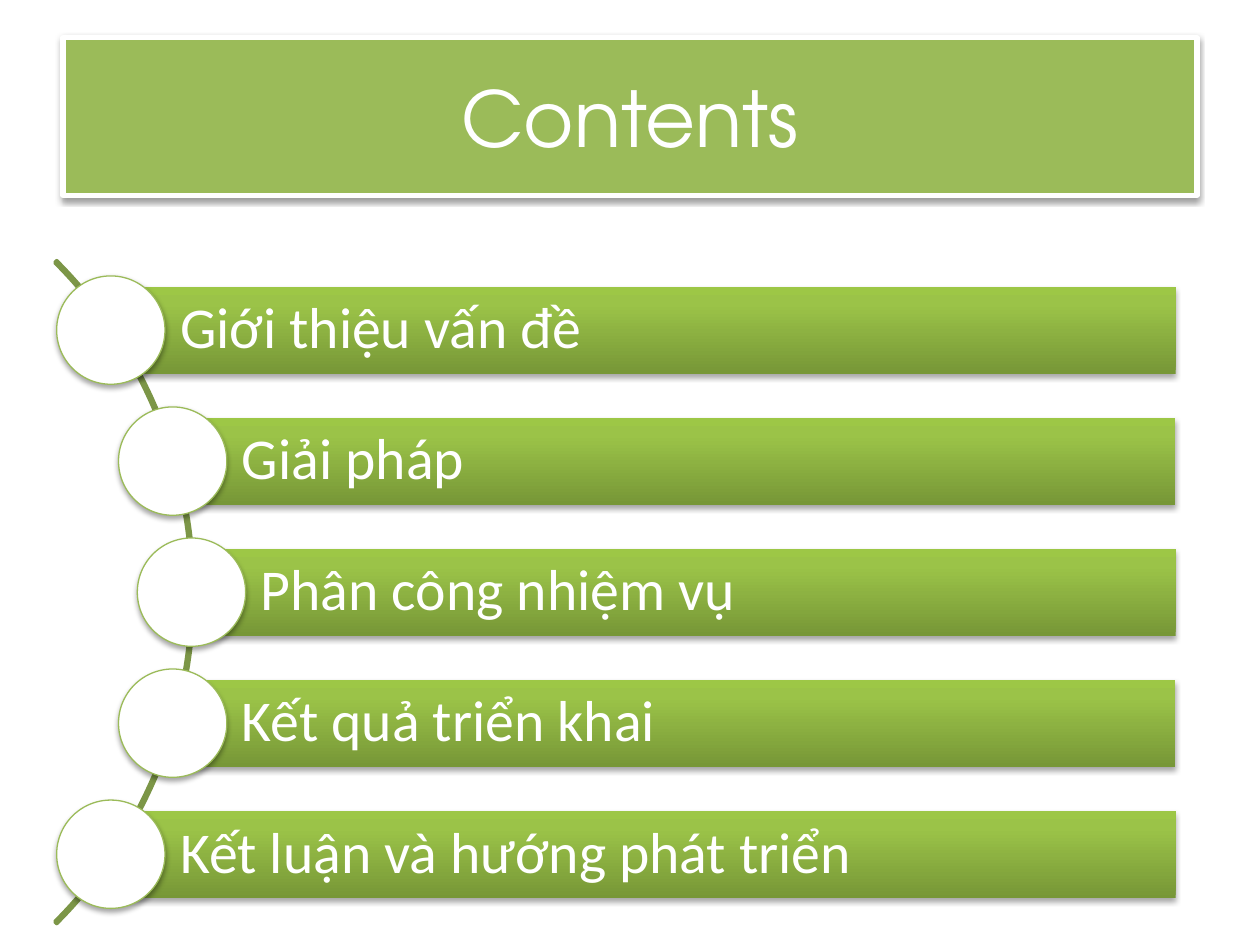
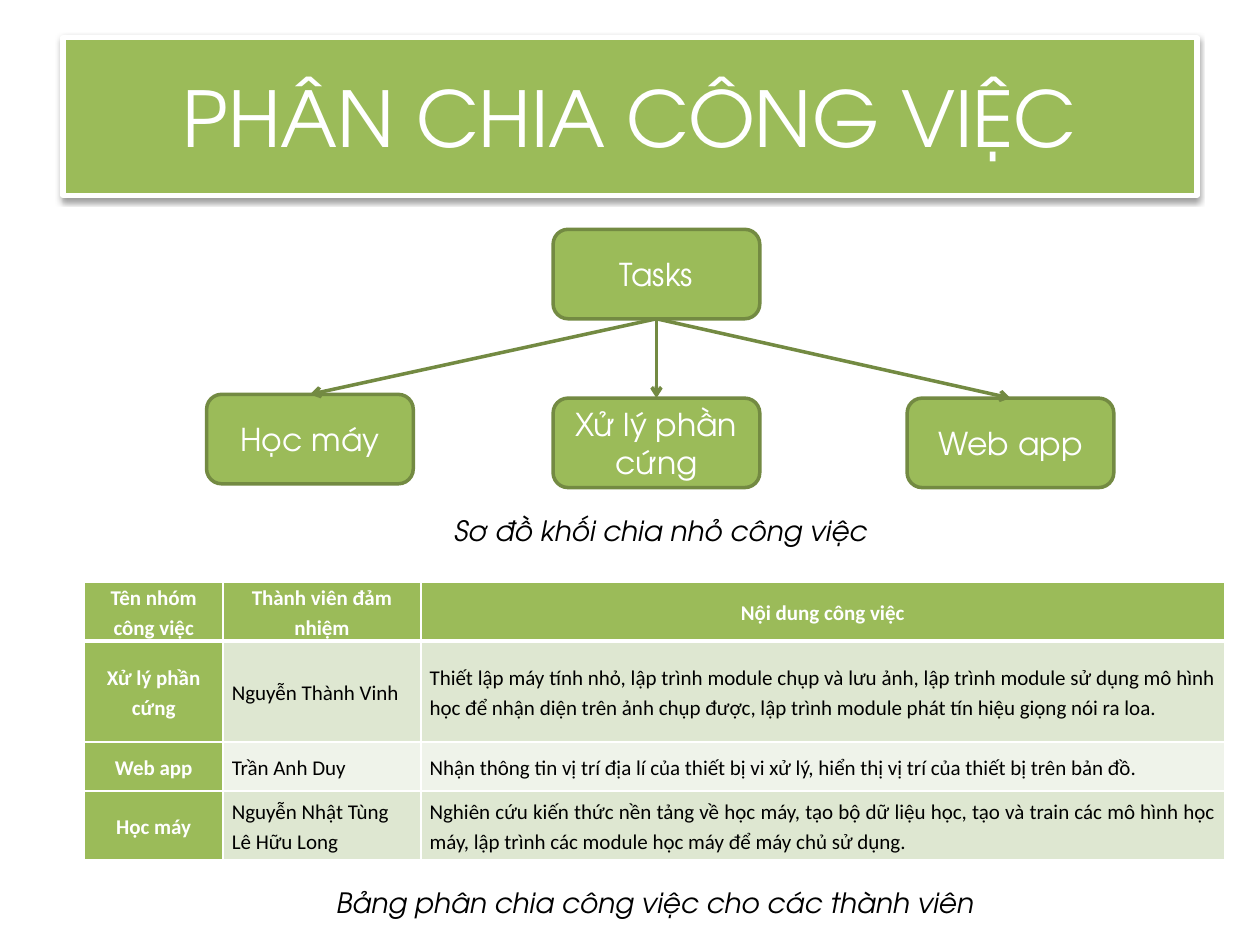
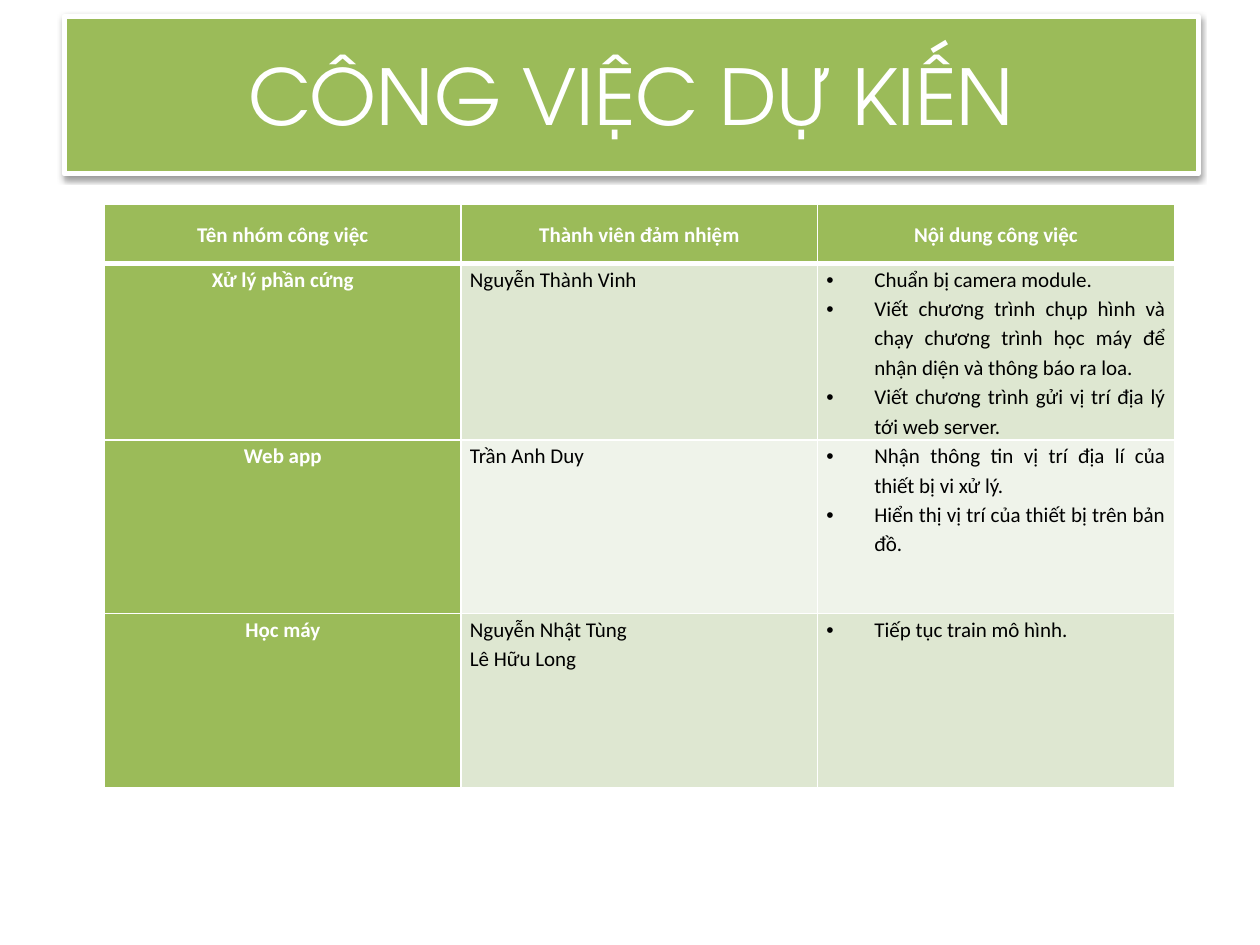
from dataclasses import dataclass
from math import sqrt
from typing import Any

from lxml import etree
from pptx import Presentation
from pptx.dml.color import RGBColor
from pptx.enum.shapes import MSO_CONNECTOR, MSO_SHAPE
from pptx.enum.text import MSO_ANCHOR, MSO_AUTO_SIZE, PP_ALIGN
from pptx.oxml.ns import qn
from pptx.util import Inches, Pt

RECTANGLE = MSO_SHAPE.RECTANGLE
ROUNDED = MSO_SHAPE.ROUNDED_RECTANGLE
OVAL = MSO_SHAPE.OVAL
BLOCK_ARC = MSO_SHAPE.BLOCK_ARC
STRAIGHT = MSO_CONNECTOR.STRAIGHT
LEFT, CENTER, JUSTIFY = PP_ALIGN.LEFT, PP_ALIGN.CENTER, PP_ALIGN.JUSTIFY
TOP, MIDDLE = MSO_ANCHOR.TOP, MSO_ANCHOR.MIDDLE
FIT_SHAPE = MSO_AUTO_SIZE.SHAPE_TO_FIT_TEXT
TOP_SIDE, BOTTOM_SIDE = 0, 2


@dataclass(frozen=True)
class Theme:
    green: str = "9BBB59"
    box_edge: str = "738A42"
    arc: str = "7C9647"
    white: str = "FFFFFF"
    black: str = "000000"
    row_bands: tuple = ("DEE7D1", "EFF3EA")
    bar_gradient: tuple = ((0, "779737"), (80, "9BC348"), (100, "9DC746"))
    display: str = "TeX Gyre Adventor"
    body: str = "Calibri"
    title_size: int = 44
    agenda_size: int = 33
    box_size: int = 18
    caption_size: int = 16
    table_size: int = 12


THEME = Theme()


@dataclass(frozen=True)
class TextStyle:
    color: str
    font: dict
    paragraph: dict


def text_style(color: str, name: str, size: int, alignment: Any = CENTER,
               line_spacing: float = 1.0, **font: bool) -> TextStyle:
    return TextStyle(color, {"name": name, "size": Pt(size), **font},
                     {"alignment": alignment, "line_spacing": line_spacing})


TITLE = text_style(THEME.white, THEME.display, THEME.title_size)
AGENDA = text_style(THEME.white, THEME.body, THEME.agenda_size, LEFT, 0.9)
BOX = text_style(THEME.white, THEME.display, THEME.box_size)
CAPTION = text_style(THEME.black, THEME.display, THEME.caption_size, italic=True)
HEADING = text_style(THEME.white, THEME.body, THEME.table_size, CENTER, 1.15, bold=True)
MEMBER = text_style(THEME.black, THEME.body, THEME.table_size, LEFT, 1.15, bold=False)
DUTY = text_style(THEME.black, THEME.body, THEME.table_size, JUSTIFY, 1.15, bold=False)


@dataclass(frozen=True)
class Area:
    left: float
    top: float
    width: float
    height: float

    def lengths(self) -> list:
        return [Inches(n) for n in (self.left, self.top, self.width, self.height)]


@dataclass(frozen=True)
class Shadow:
    distance: float
    opacity: int


TITLE_SHADOW = Shadow(1.6, 38)
AGENDA_SHADOW = Shadow(1.8, 35)


@dataclass(frozen=True)
class WorkRow:
    group: str
    members: tuple
    duties: tuple


@dataclass(frozen=True)
class WorkTable:
    area: Area
    columns: tuple
    heights: tuple
    body_anchor: Any
    bulleted: bool
    rows: tuple


HEADERS = ("Tên nhóm công việc", "Thành viên đảm nhiệm", "Nội dung công việc")
HARDWARE, WEB, LEARNING = "Xử lý phần cứng", "Web app", "Học máy"
MEMBERS = {
    HARDWARE: ("Nguyễn Thành Vinh",),
    WEB: ("Trần Anh Duy",),
    LEARNING: ("Nguyễn Nhật Tùng", "Lê Hữu Long"),
}


def work_rows(duties: dict) -> tuple:
    return tuple(WorkRow(group, MEMBERS[group], lines) for group, lines in duties.items())


AGENDA_ITEMS = (
    "Giới thiệu vấn đề",
    "Giải pháp",
    "Phân công nhiệm vụ",
    "Kết quả triển khai",
    "Kết luận và hướng phát triển",
)

ASSIGNMENTS = WorkTable(
    Area(0.67, 4.62, 9.05, 2.15), (1.1, 1.57, 6.38), (0.41, 0.8, 0.39, 0.55), MIDDLE, False,
    work_rows({
        HARDWARE: ("Thiết lập máy tính nhỏ, lập trình module chụp và lưu ảnh, lập trình module "
                   "sử dụng mô hình học để nhận diện trên ảnh chụp được, lập trình module phát "
                   "tín hiệu giọng nói ra loa.",),
        WEB: ("Nhận thông tin vị trí địa lí của thiết bị vi xử lý, hiển thị vị trí của thiết bị "
              "trên bản đồ.",),
        LEARNING: ("Nghiên cứu kiến thức nền tảng về học máy, tạo bộ dữ liệu học, tạo và train "
                   "các mô hình học máy, lập trình các module học máy để máy chủ sử dụng.",),
    }),
)

PLAN = WorkTable(
    Area(0.83, 1.62, 8.49, 4.61), (2.83,) * 3, (0.47,) + (1.38,) * 3, TOP, True,
    work_rows({
        HARDWARE: ("Chuẩn bị camera module.",
                   "Viết chương trình chụp hình và chạy chương trình học máy để nhận diện và "
                   "thông báo ra loa.",
                   "Viết chương trình gửi vị trí địa lý tới web server."),
        WEB: ("Nhận thông tin vị trí địa lí của thiết bị vi xử lý.",
              "Hiển thị vị trí của thiết bị trên bản đồ."),
        LEARNING: ("Tiếp tục train mô hình.",),
    }),
)


def rgb(value: str) -> RGBColor:
    return RGBColor.from_string(value)


def apply(target: Any, values: dict) -> None:
    for attribute, value in values.items():
        setattr(target, attribute, value)


def add_node(parent: Any, tag: str, **attributes: Any) -> Any:
    return etree.SubElement(parent, qn(tag), {k: str(v) for k, v in attributes.items()})


def write(frame: Any, lines: tuple, style: TextStyle, bulleted: bool = False) -> None:
    frame.word_wrap = True
    for index, line in enumerate(lines):
        paragraph = frame.add_paragraph() if index else frame.paragraphs[0]
        apply(paragraph, style.paragraph)
        run = paragraph.add_run()
        run.text = line
        apply(run.font, style.font)
        run.font.color.rgb = rgb(style.color)
        if bulleted:
            properties = paragraph._p.get_or_add_pPr()
            properties.set("marL", str(Inches(0.38)))
            properties.set("indent", str(Inches(-0.38)))
            add_node(properties, "a:buFont", typeface="Arial")
            add_node(properties, "a:buChar", char="•")


def add_panel(slide: Any, kind: Any, area: Area, fill: str | None = None,
              edge: str | None = None, weight: float = 0, shadow: Shadow | None = None) -> Any:
    panel = slide.shapes.add_shape(kind, *area.lengths())
    if fill:
        panel.fill.solid()
        panel.fill.fore_color.rgb = rgb(fill)
    else:
        panel.fill.background()
    if edge:
        panel.line.color.rgb = rgb(edge)
        panel.line.width = Pt(weight)
    else:
        panel.line.fill.background()
    panel.shadow.inherit = False
    if shadow:
        effects = panel._element.spPr.find(qn("a:effectLst"))
        outer = add_node(effects, "a:outerShdw", blurRad=Pt(3.1), dist=Pt(shadow.distance),
                         dir=90 * 60000, rotWithShape=0)
        tint = add_node(outer, "a:srgbClr", val=THEME.black)
        add_node(tint, "a:alpha", val=shadow.opacity * 1000)
    return panel


def add_title(slide: Any, text: str, left: float = 0.5, top: float = 0.3) -> None:
    band = add_panel(slide, RECTANGLE, Area(left, top, 9, 1.25), THEME.green,
                     THEME.white, 3, TITLE_SHADOW)
    band.text_frame.vertical_anchor = MIDDLE
    write(band.text_frame, (text,), TITLE)


def paint_gradient(bar: Any) -> None:
    bar.fill.gradient()
    bar.fill.gradient_angle = 90
    stops = bar._element.spPr.find(qn("a:gradFill")).find(qn("a:gsLst"))
    for stop in list(stops):
        stops.remove(stop)
    for percent, color in THEME.bar_gradient:
        add_node(add_node(stops, "a:gs", pos=percent * 1000), "a:srgbClr", val=color)


def add_agenda(slide: Any) -> None:
    center_x, center_y, radius = -2.18, 4.7, 3.72
    step, bar_height, knob, right = 1.04, 0.69, 0.86, 9.33
    arc = add_panel(slide, BLOCK_ARC,
                    Area(center_x - radius, center_y - radius, 2 * radius, 2 * radius),
                    edge=THEME.arc, weight=2)
    for index, value in enumerate((189, 27, 0.003)):
        arc.adjustments[index] = value
    for index, item in enumerate(AGENDA_ITEMS):
        rise = (index - (len(AGENDA_ITEMS) - 1) / 2) * step
        x, y = center_x + sqrt((radius - 0.02) ** 2 - rise ** 2), center_y + rise
        bar = add_panel(slide, RECTANGLE, Area(x, y - bar_height / 2, right - x, bar_height),
                        shadow=AGENDA_SHADOW)
        paint_gradient(bar)
        apply(bar.text_frame, {"vertical_anchor": MIDDLE, "margin_left": Inches(0.55),
                               "margin_right": Inches(0.09), "margin_top": Inches(0.09),
                               "margin_bottom": Inches(0.09)})
        write(bar.text_frame, (item,), AGENDA)
        add_panel(slide, OVAL, Area(x - knob / 2, y - knob / 2, knob, knob),
                  THEME.white, THEME.green, 0.75, AGENDA_SHADOW)


def add_box(slide: Any, text: str, left: float, top: float) -> Any:
    box = add_panel(slide, ROUNDED, Area(left, top, 1.64, 0.71), THEME.green, THEME.box_edge, 2)
    box.text_frame.vertical_anchor = MIDDLE
    write(box.text_frame, (text,), BOX)
    return box


def add_arrow(slide: Any, source: Any, target: Any) -> None:
    arrow = slide.shapes.add_connector(STRAIGHT, 0, 0, 0, 0)
    arrow.begin_connect(source, BOTTOM_SIDE)
    arrow.end_connect(target, TOP_SIDE)
    arrow.line.color.rgb = rgb(THEME.box_edge)
    arrow.line.width = Pt(2)
    properties = arrow._element.spPr
    add_node(properties.find(qn("a:ln")), "a:tailEnd", type="arrow")
    add_node(properties, "a:effectLst")


def add_task_tree(slide: Any) -> None:
    root = add_box(slide, "Tasks", 4.39, 1.82)
    for group, left, top in ((LEARNING, 1.64, 3.13), (HARDWARE, 4.39, 3.16), (WEB, 7.2, 3.16)):
        add_arrow(slide, root, add_box(slide, group, left, top))


def add_caption(slide: Any, text: str, area: Area) -> None:
    frame = slide.shapes.add_textbox(*area.lengths()).text_frame
    write(frame, (text,), CAPTION)
    frame.auto_size = FIT_SHAPE


def set_borders(cell: Any, weights: dict) -> None:
    properties = cell._tc.get_or_add_tcPr()
    for index, (side, weight) in enumerate(weights.items()):
        border = etree.Element(qn(f"a:{side}"), {"w": str(Pt(weight))})
        add_node(add_node(border, "a:solidFill"), "a:srgbClr", val=THEME.white)
        properties.insert(index, border)


def fill_cell(cell: Any, lines: tuple, style: TextStyle, fill: str, anchor: Any,
              row: int, bulleted: bool) -> None:
    apply(cell, {"vertical_anchor": anchor, "margin_left": Inches(0.07),
                 "margin_right": Inches(0.07), "margin_top": 0, "margin_bottom": 0})
    write(cell.text_frame, lines, style, bulleted)
    cell.fill.solid()
    cell.fill.fore_color.rgb = rgb(fill)
    set_borders(cell, {"lnL": 1, "lnR": 1, "lnT": 3 if row == 1 else 1,
                       "lnB": 3 if row == 0 else 1})


def add_work_table(slide: Any, work: WorkTable) -> None:
    table = slide.shapes.add_table(len(work.rows) + 1, len(HEADERS), *work.area.lengths()).table
    for column, width in zip(table.columns, work.columns):
        column.width = Inches(width)
    for row, height in zip(table.rows, work.heights):
        row.height = Inches(height)
    for column, header in enumerate(HEADERS):
        fill_cell(table.cell(0, column), (header,), HEADING, THEME.green, MIDDLE, 0, False)
    for row, entry in enumerate(work.rows, 1):
        band = THEME.row_bands[(row - 1) % 2]
        contents = (
            ((entry.group,), HEADING, THEME.green, False),
            (entry.members, MEMBER, band, False),
            (entry.duties, DUTY, band, work.bulleted),
        )
        for column, (lines, style, fill, bulleted) in enumerate(contents):
            fill_cell(table.cell(row, column), lines, style, fill, work.body_anchor, row, bulleted)


def main() -> None:
    deck = Presentation()
    deck.slide_width, deck.slide_height = Inches(10), Inches(7.5)
    blank = deck.slide_layouts[6]

    contents = deck.slides.add_slide(blank)
    add_title(contents, "Contents")
    add_agenda(contents)

    division = deck.slides.add_slide(blank)
    add_title(division, "PHÂN CHIA CÔNG VIỆC")
    add_work_table(division, ASSIGNMENTS)
    add_task_tree(division)
    add_caption(division, "Sơ đồ khối chia nhỏ công việc", Area(1.64, 4.03, 7.21, 0.37))
    add_caption(division, "Bảng phân chia công việc cho các thành viên",
                Area(0.67, 6.98, 9.06, 0.37))

    plan = deck.slides.add_slide(blank)
    add_title(plan, "CÔNG VIỆC DỰ KIẾN", 0.51, 0.13)
    add_work_table(plan, PLAN)

    deck.save("out.pptx")


if __name__ == "__main__":
    main()
